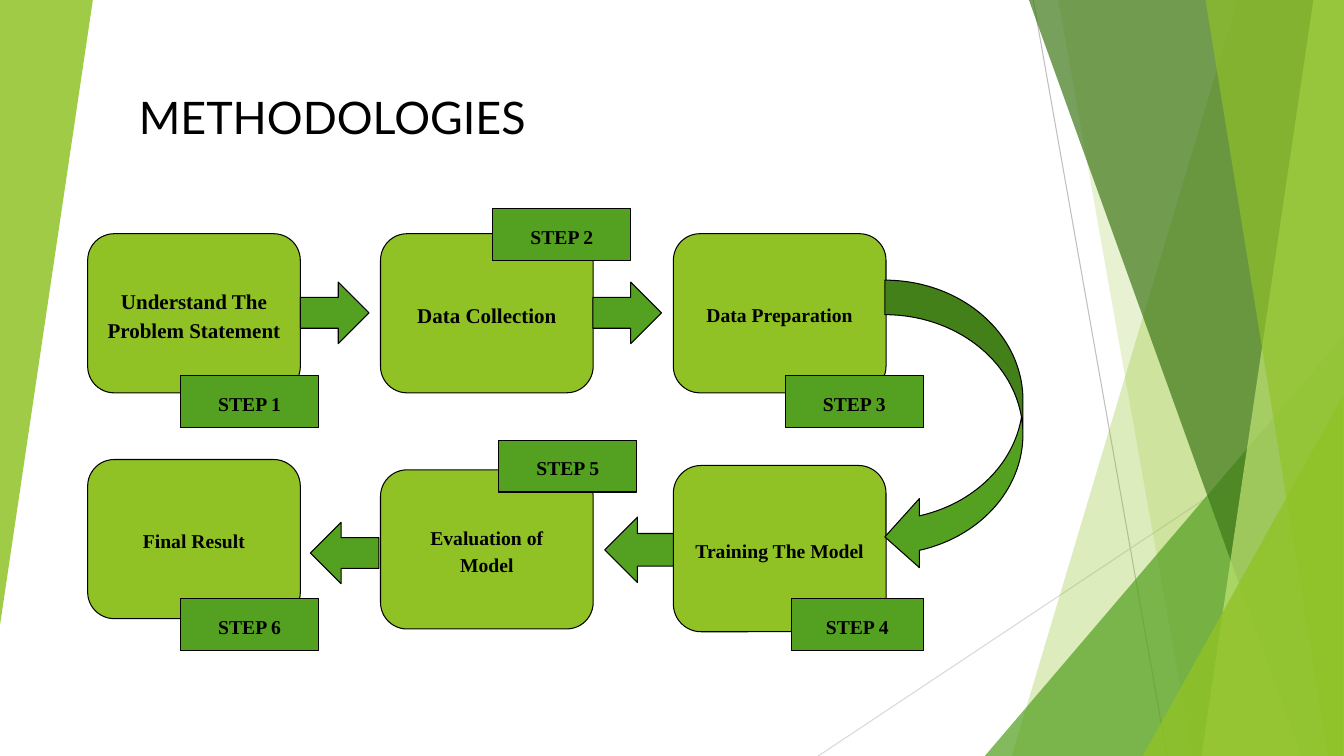
"""Build the methodologies slide: six linked steps on a green faceted backdrop."""
from lxml import etree
from pptx import Presentation
from pptx.dml.color import RGBColor
from pptx.enum.shapes import MSO_CONNECTOR, MSO_SHAPE
from pptx.enum.text import MSO_ANCHOR, PP_ALIGN
from pptx.oxml.ns import qn
from pptx.util import Cm, Pt

ROUND = MSO_SHAPE.ROUNDED_RECTANGLE
RECT = MSO_SHAPE.RECTANGLE
ARROW = MSO_SHAPE.RIGHT_ARROW
CURVE = MSO_SHAPE.CURVED_LEFT_ARROW
WEDGE = MSO_SHAPE.ISOSCELES_TRIANGLE
STRAIGHT = MSO_CONNECTOR.STRAIGHT
CENTER, LEFT = PP_ALIGN.CENTER, PP_ALIGN.LEFT
MIDDLE = MSO_ANCHOR.MIDDLE

COLORS = {"lime": "90C226", "green": "54A021", "dark": "3F7819",
          "pale": "C0E474", "black": "000000", "gray": "BFBFBF", "mist": "D9D9D9"}
WIDE, HIGH = 33.87, 19.05

TITLE = "METHODOLOGIES"
RAYS = [((26.04, 0, 29.41, HIGH), "gray"), ((WIDE, 10.24, 20.62, HIGH), "mist")]
# kind, geometry, colour, opacity
FACETS = [
    ("band", (31.19, 25.5), "lime", 30),
    ("band", (26.67, 30.05), "lime", 20),
    ("wedge", (24.82, 8.46, 9.04, 10.59, 0), "green", 72),
    ("band", (25.93, 32.79), "dark", 70),
    ("band", (33.1, 30.28), "pale", 70),
    ("band", (30.38, 33.48), "lime", 65),
    ("wedge", (28.8, 9.98, 5.05, 9.07, 0), "lime", 80),
    ("wedge", (0, 0, 2.34, 15.75, 180), "lime", 85),
]
# column, top, height, size, lines, tag left, tag top, tag width
STEPS = [
    (0, 5.89, 4.01, 15, ["Understand The Problem Statement"], 4.55, 9.47, 3.48),
    (1, 5.89, 4.01, 15, ["Data Collection"], 12.42, 5.26, 3.48),
    (2, 5.89, 4.01, 14, ["Data Preparation"], 19.79, 9.47, 3.48),
    (2, 11.73, 4.19, 14, ["Training The Model"], 19.94, 15.09, 3.33),
    (1, 11.84, 4.01, 14, ["Evaluation of", "Model"], 12.57, 11.1, 3.48),
    (0, 11.58, 4.01, 14, ["Final Result"], 4.55, 15.09, 3.48),
]
ARROWS = [
    (ARROW, (7.57, 7.11, 1.73, 1.55), 0),
    (ARROW, (14.94, 7.11, 1.73, 1.55), 0),
    (CURVE, (22.3, 7.06, 3.48, 7.34), 0),
    (ARROW, (15.24, 13.03, 1.73, 1.65), 180),
    (ARROW, (7.82, 13.16, 1.73, 1.55), 180),
]
START, PITCH, BOX = 2.21, 7.38, 5.36


def rgb(name):
    return RGBColor.from_string(COLORS[name])


def paint(shape, color, alpha=None):
    shape.shadow.inherit = False
    shape.fill.solid()
    shape.fill.fore_color.rgb = rgb(color)
    if alpha is None:
        shape.line.color.rgb = rgb("black")
        shape.line.width = Pt(0.75)
    else:
        shape.line.fill.background()
        tint = shape.fill._xPr.find(".//" + qn("a:srgbClr"))
        etree.SubElement(tint, qn("a:alpha")).set("val", str(alpha * 1000))


def place(shapes, kind, area, color, alpha=None, turn=0):
    shape = shapes.add_shape(kind, *map(Cm, area))
    shape.rotation = turn
    paint(shape, color, alpha)
    return shape


def write(shape, lines, size, font="Times New Roman", bold=True, align=CENTER):
    frame = shape.text_frame
    frame.word_wrap = True
    frame.vertical_anchor = MIDDLE
    frame.margin_left = frame.margin_right = Cm(0.25)
    frame.margin_top = frame.margin_bottom = Cm(0.25)
    for i, line in enumerate(lines):
        para = frame.add_paragraph() if i else frame.paragraphs[0]
        para.alignment = align
        para.line_spacing = 1.15 if bold else 1.0
        run = para.add_run()
        run.text = line
        run.font.name, run.font.size, run.font.bold = font, Pt(size), bold
        run.font.color.rgb = rgb("black")


def backdrop(shapes):
    for ends, color in RAYS:
        ray = shapes.add_connector(STRAIGHT, *map(Cm, ends))
        ray.line.color.rgb = rgb(color)
        ray.line.width = Pt(0.75)
        etree.SubElement(ray._element.spPr, qn("a:effectLst"))
    for kind, geo, color, alpha in FACETS:
        if kind == "band":
            top, base = geo
            pen = shapes.build_freeform(Cm(top), 0)
            pen.add_line_segments([(Cm(x), Cm(y)) for x, y in
                                   ((WIDE, 0), (WIDE, HIGH), (base, HIGH))])
            paint(pen.convert_to_shape(), color, alpha)
        else:
            wedge = place(shapes, WEDGE, geo[:4], color, alpha, geo[4])
            wedge.adjustments[0] = 1


def flow(shapes):
    for col, top, tall, size, lines, *_ in STEPS:
        area = (START + col * PITCH, top, BOX, tall)
        write(place(shapes, ROUND, area, "lime"), lines, size)
    for kind, area, turn in ARROWS:
        place(shapes, kind, area, "green", turn=turn)
    for num, (*_, left, top, wide) in enumerate(STEPS, 1):
        tag = place(shapes, RECT, (left, top, wide, 1.3), "green")
        write(tag, [f"STEP {num}"], 14)


def main():
    deck = Presentation()
    deck.slide_width, deck.slide_height = Cm(WIDE), Cm(HIGH)
    slide = deck.slides.add_slide(deck.slide_layouts[5])
    backdrop(slide.shapes)
    flow(slide.shapes)
    title = slide.shapes.title
    title.left, title.top, title.width, title.height = map(Cm, (3.25, 2.13, 10.36, 1.63))
    write(title, [TITLE], 32, "Lato", False, LEFT)
    deck.save("out.pptx")


if __name__ == "__main__":
    main()
